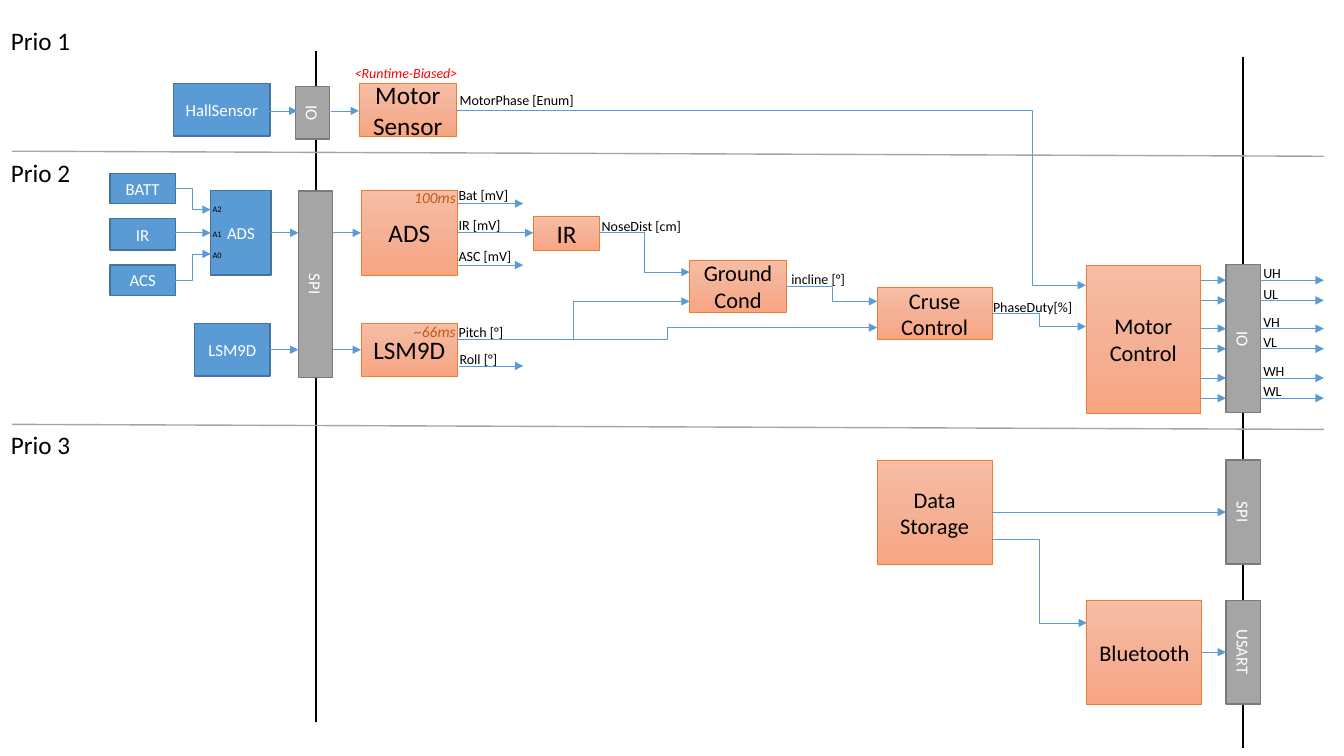
from copy import deepcopy

from lxml import etree
from pptx import Presentation
from pptx.dml.color import RGBColor
from pptx.enum.shapes import MSO_CONNECTOR, MSO_SHAPE
from pptx.enum.text import MSO_ANCHOR, MSO_AUTO_SIZE, PP_ALIGN
from pptx.oxml.ns import qn
from pptx.util import Inches, Pt

RECTANGLE = MSO_SHAPE.RECTANGLE
STRAIGHT, ELBOW = MSO_CONNECTOR.STRAIGHT, MSO_CONNECTOR.ELBOW
MIDDLE, CENTER, LEFT = MSO_ANCHOR.MIDDLE, PP_ALIGN.CENTER, PP_ALIGN.LEFT
FIT_SHAPE = MSO_AUTO_SIZE.SHAPE_TO_FIT_TEXT

BLACK = RGBColor(0x00, 0x00, 0x00)
WHITE = RGBColor(0xFF, 0xFF, 0xFF)
RED = RGBColor(0xFF, 0x00, 0x00)
BLUE = RGBColor(0x5B, 0x9B, 0xD5)
DARK_BLUE = RGBColor(0x43, 0x73, 0x9E)
GRAY = RGBColor(0xA5, 0xA5, 0xA5)
DARK_GRAY = RGBColor(0x7A, 0x7A, 0x7A)
ORANGE = RGBColor(0xED, 0x7D, 0x31)
RUST = RGBColor(0xC5, 0x5A, 0x11)
PEACH = ((0, RGBColor(0xF7, 0xBD, 0xA5)), (0.5, RGBColor(0xF5, 0xB1, 0x96)),
         (1, RGBColor(0xF8, 0xA5, 0x82)))

BUS_WIDTH = 0.34

# Hardware: text, left, top, width, height
HARDWARE = [
    ("HallSensor", 1.72, 0.83, 0.96, 0.52),
    ("BATT", 1.09, 1.72, 0.65, 0.3),
    ("IR", 1.09, 2.17, 0.65, 0.31),
    ("ACS", 1.09, 2.63, 0.65, 0.3),
    ("ADS", 2.09, 1.89, 0.6, 0.84),
    ("LSM9D", 1.93, 3.21, 0.75, 0.52),
]
# Software tasks: text, left, top, width, height, size
TASKS = [
    ("Motor\nSensor", 3.56, 0.83, 0.97, 0.52, 18),
    ("ADS", 3.58, 1.89, 0.96, 0.84, 18),
    ("LSM9D", 3.58, 3.21, 0.96, 0.52, 18),
    ("IR", 5.29, 2.15, 0.66, 0.33, 18),
    ("Ground\nCond", 6.84, 2.58, 0.96, 0.52, 16),
    ("Cruse\nControl", 8.7, 2.85, 1.14, 0.52, 16),
    ("Motor\nControl", 10.77, 2.63, 1.14, 1.47, 16),
    ("Data Storage", 8.7, 4.57, 1.14, 1.03, 16),
    ("Bluetooth", 10.78, 5.96, 1.14, 1.03, 16),
]
# Vertical buses: text, centre x, centre y, length
BUSES = [
    ("IO", 3.1, 1.12, 0.52),
    ("SPI", 3.13, 2.82, 1.85),
    ("IO", 12.33, 3.36, 1.47),
    ("SPI", 12.33, 5.08, 1.03),
    ("USART", 12.33, 6.47, 1.03),
]
# Level arrows: from x, to x, y
LEVEL_ARROWS = [
    (2.67, 2.95, 1.1), (3.28, 3.56, 1.1),
    (1.73, 2.09, 2.31), (2.69, 2.96, 2.31), (3.3, 3.58, 2.31),
    (2.68, 2.96, 3.47), (3.3, 3.58, 3.47),
    (4.54, 5.19, 2.02), (4.54, 5.29, 2.31), (4.54, 5.19, 2.63),
    (4.55, 5.19, 3.63), (9.84, 12.16, 5.08), (11.92, 12.16, 6.47),
]
# Bent arrows: from x, from y, to x, to y, place of the bend
BENT_ARROWS = [
    (1.73, 1.87, 2.09, 2.08, 0.5),
    (1.73, 2.78, 2.09, 2.52, 0.5),
    (4.53, 1.1, 10.77, 2.83, 0.915),
    (5.95, 2.31, 6.84, 2.7, 0.5),
    (4.53, 3.37, 6.84, 2.99, 0.5),
    (4.54, 3.37, 8.7, 3.25, 0.5),
    (7.81, 2.84, 8.7, 2.99, 0.5),
    (9.84, 3.11, 10.77, 3.24, 0.5),
    (9.84, 5.35, 10.78, 6.18, 0.5),
]
# Motor phases: name, y of the high side line, label width
PHASES = [("U", 2.78, 0.41), ("V", 3.26, 0.41), ("W", 3.75, 0.48)]
# Signal names: text, left, top, width
SIGNALS = [
    ("MotorPhase [Enum]", 4.46, 0.86, 1.35),
    ("Bat [mV]", 4.45, 1.8, 0.7),
    ("IR [mV]", 4.45, 2.1, 0.62),
    ("ASC [mV]", 4.45, 2.41, 0.73),
    ("Pitch [°]", 4.45, 3.16, 0.65),
    ("Roll [°]", 4.46, 3.43, 0.58),
    ("NoseDist [cm]", 5.87, 2.11, 1),
    ("incline [°]", 7.75, 2.63, 0.74),
    (" PhaseDuty[%]", 9.72, 2.91, 1.03),
]


def write_text(frame, text, size, color, align, italic=False):
    values = {"name": "Calibri", "size": Pt(size), "italic": italic}
    for index, line in enumerate(text.split("\n")):
        para = frame.add_paragraph() if index else frame.paragraphs[0]
        para.alignment = align
        span = para.add_run()
        span.text = line
        for name, value in values.items():
            setattr(span.font, name, value)
        span.font.color.rgb = color


def add_box(page, text, left, top, width, height, size, color, edge, weight):
    box = page.shapes.add_shape(RECTANGLE, Inches(left), Inches(top),
                                Inches(width), Inches(height))
    box.shadow.inherit = False
    box.line.color.rgb = edge
    box.line.width = Pt(weight)
    box.text_frame.word_wrap = True
    box.text_frame.vertical_anchor = MIDDLE
    write_text(box.text_frame, text, size, color, CENTER)
    return box


def add_solid_box(page, text, left, top, width, height, fill, edge):
    box = add_box(page, text, left, top, width, height, 12, WHITE, edge, 1)
    box.fill.solid()
    box.fill.fore_color.rgb = fill
    return box


def add_task(page, text, left, top, width, height, size):
    box = add_box(page, text, left, top, width, height, size, BLACK, ORANGE, 0.5)
    box.fill.gradient()
    box.fill.gradient_angle = 270
    stop_list = box.element.spPr.find(".//" + qn("a:gsLst"))
    stop_list.append(deepcopy(stop_list[0]))
    for stop, (position, color) in zip(box.fill.gradient_stops, PEACH):
        stop.position = position
        stop.color.rgb = color


def add_bus(page, text, center_x, center_y, length):
    bus = add_solid_box(page, text, center_x - length / 2, center_y - BUS_WIDTH / 2,
                        length, BUS_WIDTH, GRAY, DARK_GRAY)
    bus.rotation = 90


def add_line(page, x1, y1, x2, y2, color, weight, kind=STRAIGHT):
    line = page.shapes.add_connector(kind, Inches(x1), Inches(y1), Inches(x2), Inches(y2))
    line.line.color.rgb = color
    line.line.width = Pt(weight)
    etree.SubElement(line.element.spPr, qn("a:effectLst"))
    return line


def add_arrow(page, x1, y1, x2, y2, bend=None):
    kind = STRAIGHT if bend is None else ELBOW
    arrow = add_line(page, x1, y1, x2, y2, BLUE, 0.5, kind)
    outline = arrow.element.spPr.find(qn("a:ln"))
    etree.SubElement(outline, qn("a:tailEnd"), type="triangle")
    if bend is not None:
        guides = arrow.element.spPr.find(".//" + qn("a:avLst"))
        etree.SubElement(guides, qn("a:gd"), name="adj1", fmla=f"val {round(bend * 100000)}")


def add_label(page, text, left, top, width, height=0.27, size=10, color=BLACK, italic=False):
    label = page.shapes.add_textbox(Inches(left), Inches(top), Inches(width), Inches(height))
    label.text_frame.word_wrap = False
    label.text_frame.auto_size = FIT_SHAPE
    write_text(label.text_frame, text, size, color, LEFT, italic)


def main():
    deck = Presentation()
    deck.slide_width, deck.slide_height = Inches(13.33), Inches(7.5)
    page = deck.slides.add_slide(deck.slide_layouts[6])

    # Hardware boundaries and priority lanes
    add_line(page, 12.33, 0.57, 12.33, 7.42, BLACK, 1.5)
    add_line(page, 3.13, 0.51, 3.13, 7.16, BLACK, 1.5)
    for y in (1.5, 4.21):
        add_line(page, 0.12, y, 13.13, y + 0.05, GRAY, 1)
    for number, top in enumerate((0.2, 1.51, 4.21), 1):
        add_label(page, f"Prio {number}", 0.01, top, 0.8, 0.4, 18)

    # Boxes
    for hardware in HARDWARE:
        add_solid_box(page, *hardware, BLUE, DARK_BLUE)
    for task in TASKS:
        add_task(page, *task)
    for bus in BUSES:
        add_bus(page, *bus)

    # Arrows
    for x1, x2, y in LEVEL_ARROWS:
        add_arrow(page, x1, y, x2, y)
    for bent in BENT_ARROWS:
        add_arrow(page, *bent)

    # High and low side outputs of each motor phase
    for phase, high_y, width in PHASES:
        for side, y in (("H", high_y), ("L", high_y + 0.2)):
            add_arrow(page, 11.91, y, 12.16, y)
            add_arrow(page, 12.5, y, 13.13, y)
            add_label(page, f" {phase}{side}", 12.4, y - 0.2, width)

    # Signal names, analog inputs and timing notes
    for signal in SIGNALS:
        add_label(page, *signal)
    for text, top in (("A2", 1.98), ("A1", 2.22), ("A0", 2.43)):
        add_label(page, text, 2.01, top, 0.29, 0.2, 6)
    for text, top in (("100ms", 1.82), ("~66ms", 3.15)):
        add_label(page, text, 4.01, top, 0.62, 0.29, 11, RUST, True)
    add_label(page, "<Runtime-Biased>", 3.42, 0.59, 1.24, color=RED, italic=True)

    deck.save("out.pptx")


if __name__ == "__main__":
    main()
